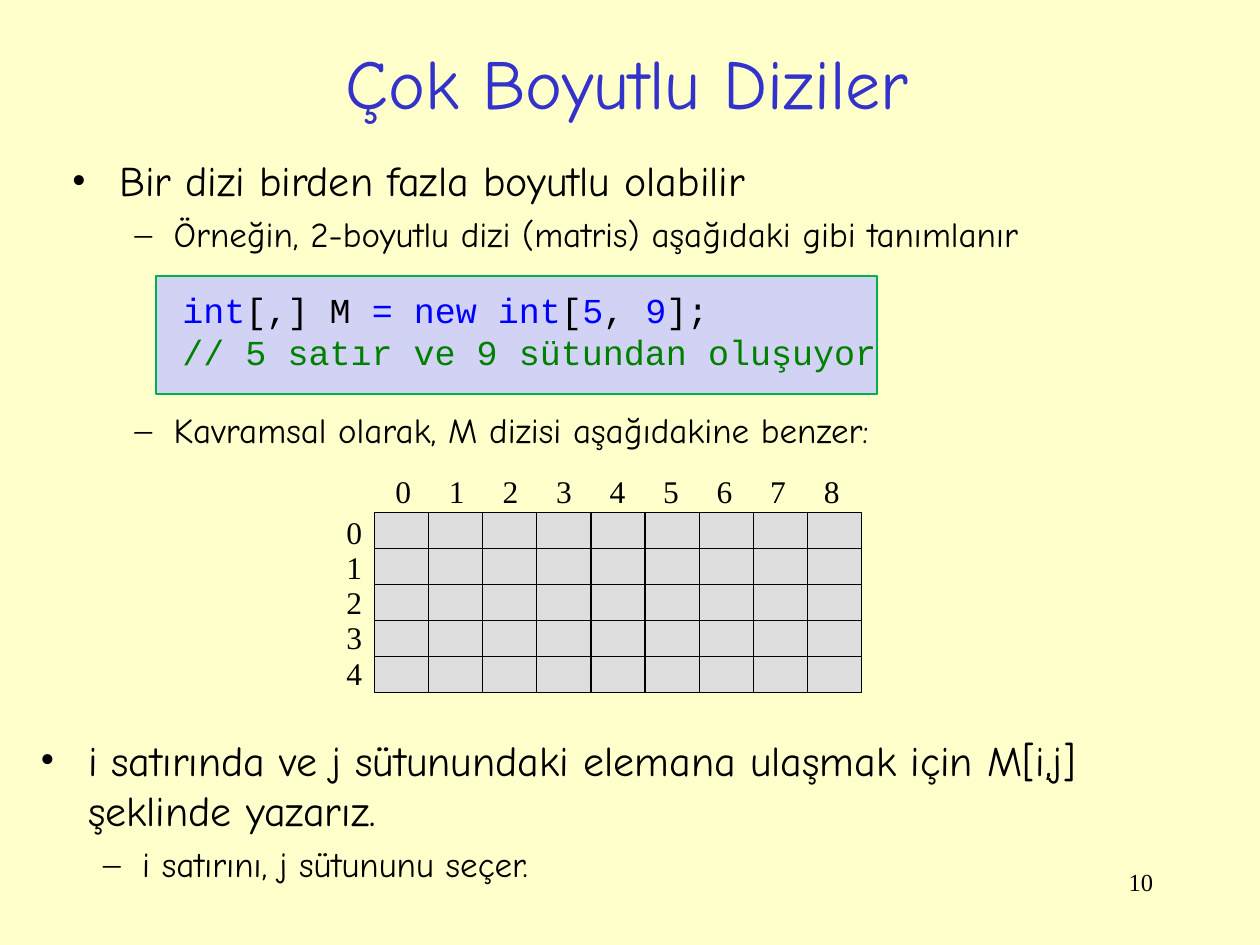
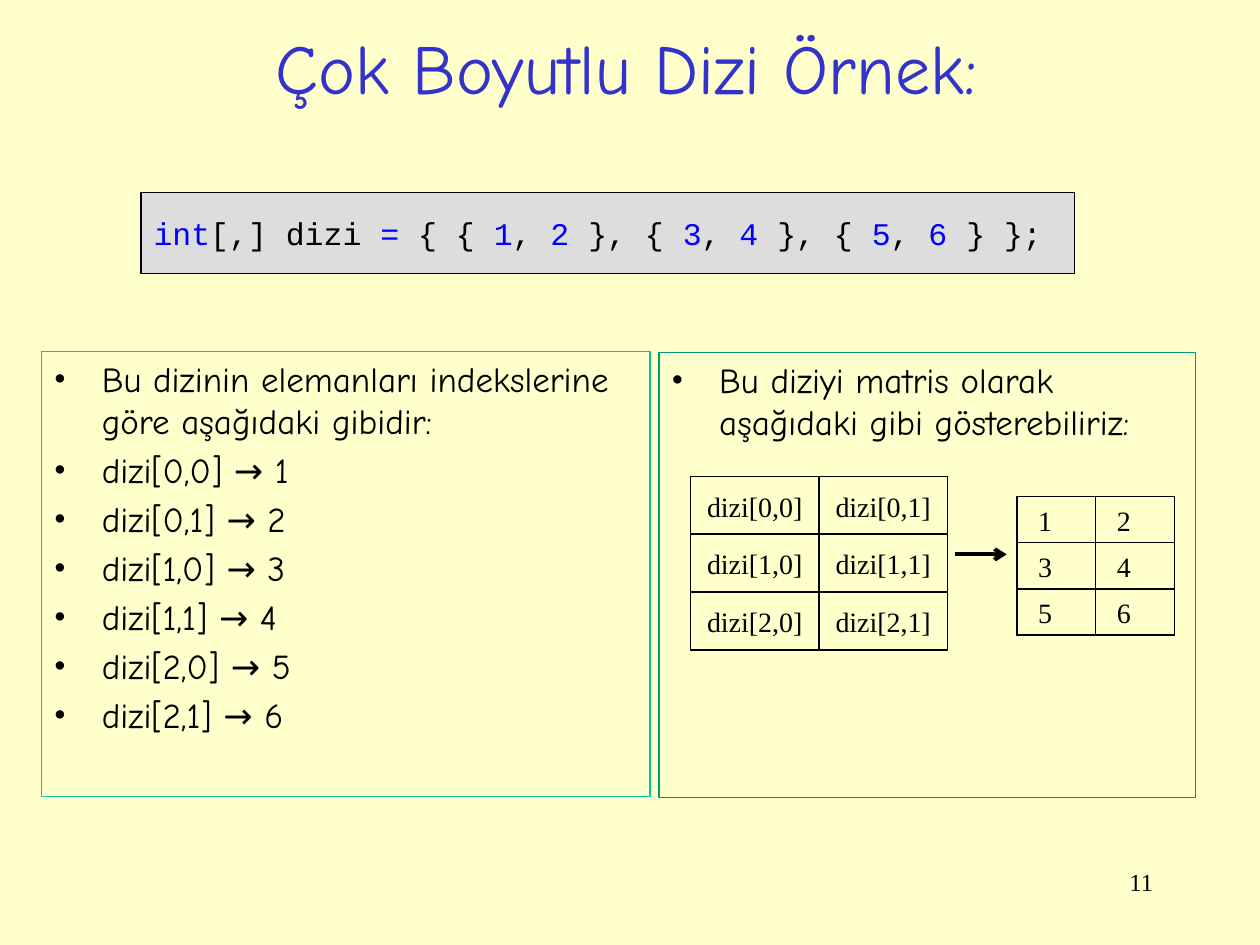
from lxml import etree
from pptx import Presentation
from pptx.dml.color import RGBColor
from pptx.enum import shapes, text
from pptx.oxml import ns
from pptx.util import Inches, Pt


class Theme:
    background = "FFFFCC"
    title = "3333CC"
    ink = "000000"
    keyword = "0000FF"
    comment = "008000"
    cell = "DDDDDD"
    code_fill = "D2D2F4"
    code_line = "00B050"
    left_line = "00CC99"
    right_line = "009973"
    body_font = "Comic Neue"
    code_font = "Courier New"
    label_font = "Times New Roman"
    title_size = 40
    large_size = 24
    medium_size = 20
    label_size = 18
    table_size = 16
    number_size = 14


LEVELS = [("•", 0.38, -0.38, Theme.large_size), ("–", 0.81, -0.31, Theme.medium_size)]
INK, KEY, NOTE = Theme.ink, Theme.keyword, Theme.comment

DECLARATION = [
    [("int", KEY), ("[,] M ", INK), ("= new int", KEY), ("[", INK), ("5", KEY),
     (", ", INK), ("9", KEY), ("];", INK)],
    [("// 5 satır ve 9 sütundan oluşuyor", NOTE)],
]
INITIALIZER = [
    [("int", KEY), ("[,] dizi ", INK), ("=", KEY), (" { { ", INK), ("1", KEY), (", ", INK),
     ("2", KEY), (" }, { ", INK), ("3", KEY), (", ", INK), ("4", KEY), (" }, { ", INK),
     ("5", KEY), (", ", INK), ("6", KEY), (" } };", INK)],
]
INTRO = [(0, "Bir dizi birden fazla boyutlu olabilir"),
         (1, "Örneğin, 2-boyutlu dizi (matris) aşağıdaki gibi tanımlanır")]
CONCEPT = "Kavramsal olarak, M dizisi aşağıdakine benzer:"
ACCESS = [(0, "i satırında ve j sütunundaki elemana ulaşmak için M[i,j] şeklinde yazarız."),
          (1, "i satırını, j sütununu seçer.")]
MATRIX = [[1, 2], [3, 4], [5, 6]]
NAMES = [[f"dizi[{i},{j}]" for j in range(2)] for i in range(3)]
ELEMENTS = ["Bu dizinin elemanları indekslerine göre aşağıdaki gibidir:"] + [
    f"{name} → {value}"
    for names, values in zip(NAMES, MATRIX) for name, value in zip(names, values)]
AS_MATRIX = ["Bu diziyi matris olarak aşağıdaki gibi gösterebiliriz:"]
GRID_ROWS, GRID_COLUMNS = 5, 9


def color(value):
    return RGBColor.from_string(value)


def set_font(font, name, size, ink=None):
    font.name = name
    font.size = Pt(size)
    if ink:
        font.color.rgb = color(ink)


def add_box(parent, at, wrap=True):
    box = parent.shapes.add_textbox(*map(Inches, at))
    box.text_frame.word_wrap = wrap
    return box


def add_rect(parent, at, line, fill=None, width=0.75):
    rect = parent.shapes.add_shape(shapes.MSO_SHAPE.RECTANGLE, *map(Inches, at))
    rect.shadow.inherit = False
    if fill:
        rect.fill.solid()
        rect.fill.fore_color.rgb = color(fill)
    else:
        rect.fill.background()
    rect.line.color.rgb = color(line)
    rect.line.width = Pt(width)
    rect.text_frame.word_wrap = True
    rect.text_frame.vertical_anchor = text.MSO_ANCHOR.TOP
    return rect


def next_para(frame):
    first = frame.paragraphs[0]
    para = frame.add_paragraph() if first.runs else first
    para.alignment = text.PP_ALIGN.LEFT
    return para


def add_label(parent, at, words, name, size, ink=INK, align=text.PP_ALIGN.LEFT, wrap=True):
    box = add_box(parent, at, wrap)
    para = box.text_frame.paragraphs[0]
    para.text = words
    para.alignment = align
    set_font(para.font, name, size, ink)
    return box


def add_bullet(frame, words, level=0, size=None, before=None):
    mark, margin, indent, level_size = LEVELS[level]
    size = size or level_size
    para = next_para(frame)
    para.text = words
    para.level = level
    para.space_before = Pt(before or size * 0.2)
    props = para._p.get_or_add_pPr()
    props.set("marL", str(Inches(margin)))
    props.set("indent", str(Inches(indent)))
    etree.SubElement(props, ns.qn("a:buFont"), typeface=Theme.label_font)
    etree.SubElement(props, ns.qn("a:buChar"), char=mark)
    set_font(para.font, Theme.body_font, size, INK)


def add_code(frame, lines, size):
    para = next_para(frame)
    for index, line in enumerate(lines):
        if index:
            para.add_line_break()
        for words, ink in line:
            span = para.add_run()
            span.text = words
            span.font.color.rgb = color(ink)
    set_font(para.font, Theme.code_font, size)
    return para


def add_matrix(page, at, rows, align, left_margin=0.01):
    table = page.shapes.add_table(len(rows), len(rows[0]), *map(Inches, at)).table
    table.first_row = table.horz_banding = False
    for i, row in enumerate(rows):
        for j, value in enumerate(row):
            cell = table.cell(i, j)
            cell.margin_left = Inches(left_margin)
            cell.margin_right = cell.margin_top = cell.margin_bottom = Inches(0.01)
            cell.vertical_anchor = text.MSO_ANCHOR.MIDDLE
            props = cell._tc.get_or_add_tcPr()
            for side in ("lnL", "lnR", "lnT", "lnB"):
                edge = etree.SubElement(props, ns.qn(f"a:{side}"), w=str(Pt(1)))
                solid = etree.SubElement(edge, ns.qn("a:solidFill"))
                etree.SubElement(solid, ns.qn("a:srgbClr"), val=INK)
            cell.fill.background()
            para = cell.text_frame.paragraphs[0]
            para.text = str(value)
            para.alignment = align
            para.line_spacing = 1.15
            set_font(para.font, Theme.label_font, Theme.table_size, INK)


def add_arrow(page, start, end):
    arrow = page.shapes.add_connector(shapes.MSO_CONNECTOR.STRAIGHT, *map(Inches, start + end))
    arrow.line.color.rgb = color(INK)
    arrow.line.width = Pt(2.25)
    etree.SubElement(arrow.line._get_or_add_ln(), ns.qn("a:tailEnd"), type="arrow")
    etree.SubElement(arrow._element.spPr, ns.qn("a:effectLst"))


def add_page(deck, title, title_at, number):
    page = deck.slides.add_slide(deck.slide_layouts[6])
    page.background.fill.solid()
    page.background.fill.fore_color.rgb = color(Theme.background)
    heading = add_label(page, title_at, title, Theme.body_font, Theme.title_size,
                        Theme.title, text.PP_ALIGN.CENTER)
    heading.text_frame.vertical_anchor = text.MSO_ANCHOR.MIDDLE
    add_label(page, (7.17, 6.83, 2.08, 0.5), str(number), Theme.label_font,
              Theme.number_size, align=text.PP_ALIGN.RIGHT)
    return page


def add_index_grid(page):
    group = page.shapes.add_group_shape()
    for i in range(GRID_ROWS):
        for j in range(GRID_COLUMNS):
            add_rect(group, (2.97 + 0.43 * j, 4.07 + 0.285 * i, 0.43, 0.285), INK, Theme.cell)
    places = [(j, 3.04 + 0.425 * j, 3.7) for j in range(GRID_COLUMNS)]
    places += [(i, 2.65, 4.02 + 0.28 * i) for i in range(GRID_ROWS)]
    for index, left, top in places:
        add_label(group, (left, top, 0.33, 0.4), str(index), Theme.label_font,
                  Theme.label_size, wrap=False)


def build_concept_page(deck):
    page = add_page(deck, "Çok Boyutlu Diziler", (0.72, 0.3, 8.51, 0.69), 10)
    add_rect(page, (1.24, 2.19, 5.72, 0.94), Theme.code_line, Theme.code_fill, 1)
    body = add_box(page, (0.47, 1.18, 9.17, 2.52)).text_frame
    for level, words in INTRO:
        add_bullet(body, words, level)
    code = add_code(body, DECLARATION, Theme.medium_size)
    code.space_before = Pt(19.4)
    code.line_spacing = Pt(24)
    code._p.get_or_add_pPr().set("marL", str(Inches(0.88)))
    add_bullet(body, CONCEPT, 1, before=20.8)
    add_index_grid(page)
    access = add_box(page, (0.22, 5.78, 9.35, 1.44)).text_frame
    for level, words in ACCESS:
        add_bullet(access, words, level)


def build_example_page(deck):
    page = add_page(deck, "Çok Boyutlu Dizi Örnek:", (0.72, 0.15, 8.5, 0.76), 11)
    panels = [((0.33, 2.79, 4.83, 3.53), Theme.left_line, ELEMENTS),
              ((5.23, 2.8, 4.26, 3.53), Theme.right_line, AS_MATRIX)]
    for at, line, items in panels:
        panel = add_rect(page, at, line)
        for words in items:
            add_bullet(panel.text_frame, words, size=Theme.medium_size)
    code = add_rect(page, (1.12, 1.53, 7.41, 0.64), INK, Theme.cell).text_frame
    code.word_wrap = False
    code.vertical_anchor = text.MSO_ANCHOR.MIDDLE
    add_code(code, INITIALIZER, Theme.label_size)
    add_matrix(page, (5.48, 3.78, 2.04, 1.38), NAMES, text.PP_ALIGN.CENTER)
    add_arrow(page, (7.58, 4.4), (7.99, 4.4))
    add_matrix(page, (8.07, 3.94, 1.25, 1.1), MATRIX, text.PP_ALIGN.LEFT, 0.17)


deck = Presentation()
deck.slide_width, deck.slide_height = Inches(10), Inches(7.5)
build_concept_page(deck)
build_example_page(deck)
deck.save("out.pptx")
